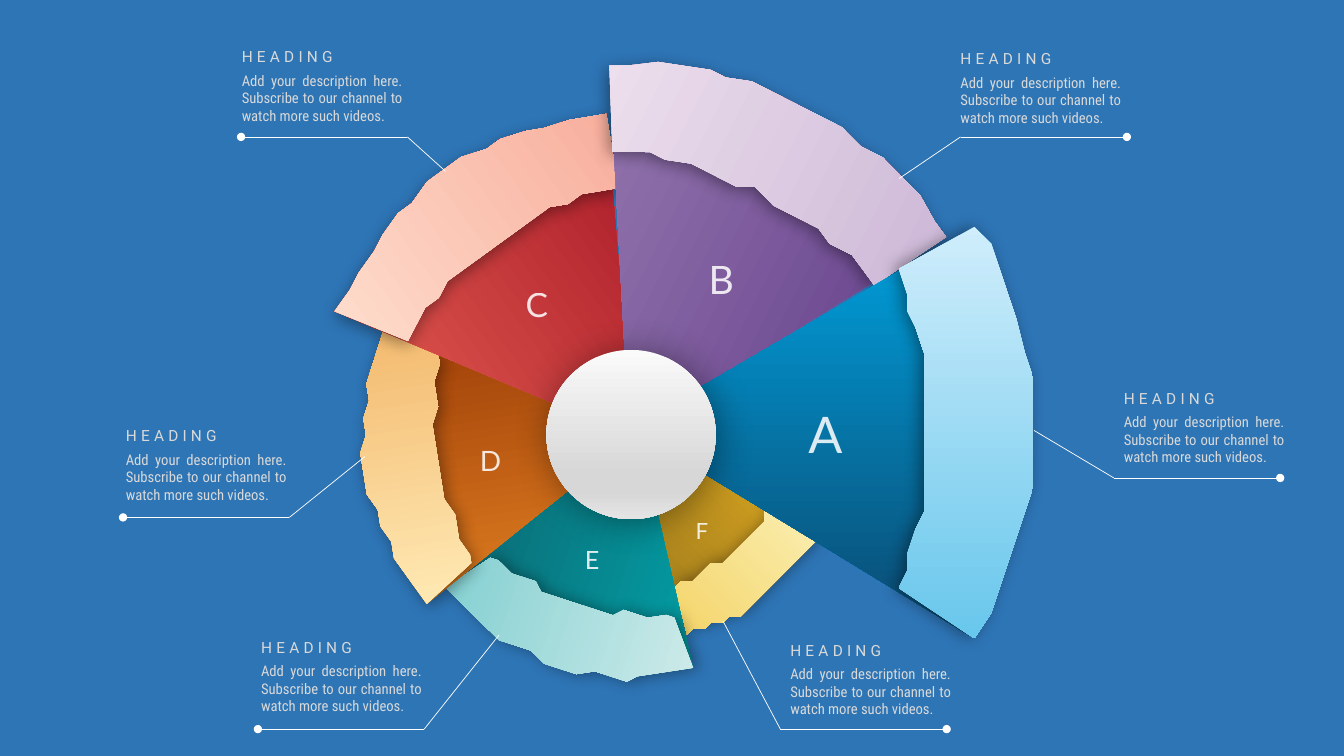
from math import cos, radians, sin

from lxml.etree import SubElement
from pptx import Presentation
from pptx.dml.color import RGBColor
from pptx.enum.shapes import MSO_CONNECTOR, MSO_SHAPE
from pptx.enum.text import MSO_AUTO_SIZE, PP_ALIGN
from pptx.oxml import parse_xml
from pptx.oxml.ns import nsdecls, qn
from pptx.util import Inches, Pt

COLUMNS, ROWS = 160, 90
COLORS = {"backdrop": "2E75B6", "white": "FFFFFF", "caption": "D9D9D9", "shadow": "000000"}
DISC_STOPS = [(0, "FAFAFA"), (74, "D7D7D7"), (83, "D7D7D7"), (100, "E4E4E4")]
HUB = (75.45, 51.4)
TURN = 63
HALF_SPAN = 31.4
ARC_STEPS = 16
RING_MIDDLE, RING_CORNER = 0.734, 0.768
CALLOUT_LINE = 19.8
DESCRIPTION = "Add your description here. Subscribe to our channel to watch more such videos."

# letter: radius, first angle, wedge gradient, ring gradient, letter centre, letter size
SECTORS = {
    "A": (47.7, -HALF_SPAN, ("00A0DC", "0B4971"), ("CFEDFB", "68C7EC"), (98.25, 51.55), 36),
    "B": (43.7, -HALF_SPAN, ("A487BA", "593482"), ("F0E3EF", "CAB5D5"), (85.85, 33.2), 28),
    "C": (38.2, -HALF_SPAN, ("EF6C5A", "98041B"), ("FFE2D2", "F7A897"), (63.9, 36.25), 24),
    "D": (32.2, -HALF_SPAN, ("E68523", "933304"), ("FFEBB6", "F3B86D"), (58.4, 54.75), 20),
    "E": (29.2, -HALF_SPAN, ("00AEB3", "0E5C68"), ("D2ECEB", "80CED0"), (70.5, 66.6), 18),
    "F": (25, -14.2, ("EDB220", "856A1D"), ("FAF0B5", "F4D161"), (83.55, 63.15), 16),
}

CALLOUTS = [
    ((132.6, 45.7), (152.4, 56.9), -1, (123.1, 51.25)),
    ((113.15, 5.3), (134.15, 16.3), -1, (107.05, 21.25)),
    ((27.6, 5.05), (28.7, 16.3), 1, (53.05, 20.4)),
    ((13.8, 50.15), (14.65, 61.6), 1, (43.45, 54.35)),
    ((29.9, 75.35), (30.7, 86.8), 1, (59.4, 75.6)),
    ((92.9, 75.7), (112.7, 86.8), -1, (86.05, 73.9)),
]


class Infographic:
    def __init__(self):
        self.deck = Presentation()
        self.deck.slide_width, self.deck.slide_height = Inches(13.333), Inches(7.5)
        self.page = self.deck.slides.add_slide(self.deck.slide_layouts[6])
        self.shapes = self.page.shapes
        self.cell = self.deck.slide_height / ROWS

    def grid(self, *lengths):
        return [round(length * self.cell) for length in lengths]

    def finish(self, shape):
        shape.line.fill.background()
        shape.shadow.inherit = False

    def backdrop(self):
        shape = self.shapes.add_shape(MSO_SHAPE.RECTANGLE, *self.grid(0, 0, COLUMNS, ROWS))
        shape.fill.solid()
        shape.fill.fore_color.rgb = RGBColor.from_string(COLORS["backdrop"])
        self.finish(shape)

    def gradient(self, shape, stops):
        marks = "".join(
            f'<a:gs pos="{place * 1000}"><a:srgbClr val="{color}"/></a:gs>' for place, color in stops
        )
        fill = parse_xml(
            f'<a:gradFill {nsdecls("a")} rotWithShape="1"><a:gsLst>{marks}</a:gsLst>'
            '<a:lin ang="5400000" scaled="0"/></a:gradFill>'
        )
        shape._element.spPr.insert(2, fill)
        self.finish(shape)

    def cast_shadow(self, shape, blur, direction):
        effects = shape._element.spPr.find(qn("a:effectLst"))
        effects.append(parse_xml(
            f'<a:outerShdw {nsdecls("a")} blurRad="{Pt(blur)}" dist="{Pt(3)}" '
            f'dir="{direction * 60000}" algn="ctr" rotWithShape="0">'
            f'<a:srgbClr val="{COLORS["shadow"]}"><a:alpha val="40000"/></a:srgbClr></a:outerShdw>'
        ))

    def turned_outline(self, points, turn, colors):
        builder = self.shapes.build_freeform(*points[0], scale=self.cell)
        builder.add_line_segments(points[1:], close=True)
        shape = builder.convert_to_shape()
        hub_x, hub_y = self.grid(*HUB)
        across = shape.left + shape.width / 2 - hub_x
        down = shape.top + shape.height / 2 - hub_y
        angle = radians(turn)
        shape.left = round(hub_x + across * cos(angle) - down * sin(angle) - shape.width / 2)
        shape.top = round(hub_y + across * sin(angle) + down * cos(angle) - shape.height / 2)
        shape.rotation = turn
        self.gradient(shape, zip((0, 100), colors))
        return shape

    def sector(self, order, radius, first, wedge_colors, ring_colors):
        def point(angle, share):
            reach = radius * share
            return HUB[0] + reach * cos(radians(angle)), HUB[1] + reach * sin(radians(angle))

        def inner_share(angle):
            return RING_MIDDLE + (RING_CORNER - RING_MIDDLE) * (angle / HALF_SPAN) ** 2

        step = (HALF_SPAN - first) / ARC_STEPS
        angles = [first + step * index for index in range(ARC_STEPS + 1)]
        outer = [point(angle, 1) for angle in angles]
        inner = [point(angle, inner_share(angle)) for angle in reversed(angles)]
        turn = -TURN * order % 360
        self.turned_outline([HUB] + outer, turn, wedge_colors)
        ring = self.turned_outline(outer + inner, turn, ring_colors)
        self.cast_shadow(ring, 12, (180 - 45 * order) % 360)

    def disc(self, left, top, size):
        shape = self.shapes.add_shape(MSO_SHAPE.OVAL, *self.grid(left, top, size, size))
        self.gradient(shape, DISC_STOPS)
        self.cast_shadow(shape, 27, 45)

    def text(self, place, words, face, size, color, align, spacing=None, opacity=None):
        box = self.shapes.add_textbox(*self.grid(*place))
        box.text_frame.word_wrap = True
        box.text_frame.auto_size = MSO_AUTO_SIZE.SHAPE_TO_FIT_TEXT
        para = box.text_frame.paragraphs[0]
        para.text, para.alignment = words, align
        para.font.name, para.font.size = face, Pt(size)
        para.font.color.rgb = RGBColor.from_string(COLORS[color])
        style = para._p.pPr.find(qn("a:defRPr"))
        if spacing:
            style.set("spc", str(spacing * 100))
        if opacity:
            tint = style.find(".//" + qn("a:srgbClr"))
            SubElement(tint, qn("a:alpha")).set("val", str(opacity * 1000))

    def letter(self, letter, center, size):
        width, height = 10.7, 0.2 * size + 1.2
        place = (center[0] - width / 2, center[1] - height / 2, width, height)
        self.text(place, letter, "Lato", size, "white", PP_ALIGN.CENTER, opacity=85)

    def line(self, start, end, dotted=False):
        link = self.shapes.add_connector(MSO_CONNECTOR.STRAIGHT, *self.grid(*start, *end))
        link.line.width = Pt(0.5)
        link.line.color.rgb = RGBColor.from_string(COLORS["white"])
        if dotted:
            SubElement(link.line._get_or_add_ln(), qn("a:headEnd")).set("type", "oval")
        SubElement(link._element.spPr, qn("a:effectLst"))

    def callout(self, corner, dot, side, tip):
        left, top = corner
        self.text((left, top + 2.88, 21.5, 7.55), DESCRIPTION, "Roboto Condensed", 10.5,
                  "caption", PP_ALIGN.JUSTIFY)
        self.text((left, top, 17.9, 3.5), "HEADING", "Roboto", 11, "caption", PP_ALIGN.LEFT, spacing=3)
        elbow = (dot[0] + side * CALLOUT_LINE, dot[1])
        self.line(dot, elbow, dotted=True)
        self.line(elbow, tip)


def main():
    infographic = Infographic()
    infographic.backdrop()
    for order, sector in reversed(list(enumerate(SECTORS.values()))):
        infographic.sector(order, *sector[:4])
    infographic.disc(65.05, 41.65, 20.15)
    for letter, sector in SECTORS.items():
        infographic.letter(letter, *sector[4:])
    for callout in CALLOUTS:
        infographic.callout(*callout)
    infographic.deck.save("out.pptx")


if __name__ == "__main__":
    main()
